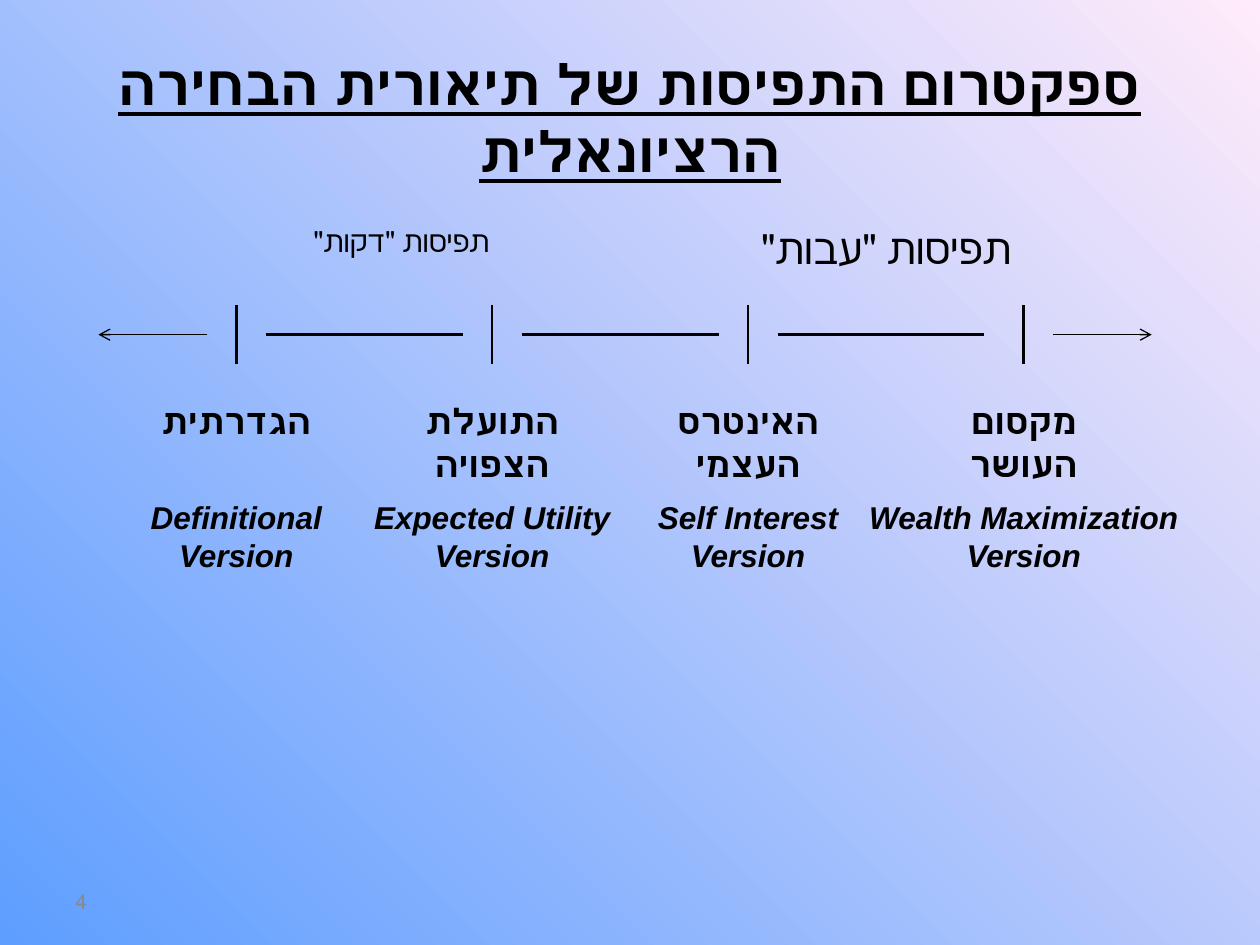
from dataclasses import dataclass

import lxml.etree
import pptx
import pptx.dml.color
import pptx.enum.dml
import pptx.enum.shapes
import pptx.enum.text
import pptx.oxml.ns
import pptx.shapes.base
import pptx.slide
import pptx.text.text
import pptx.util

BLACK = pptx.dml.color.RGBColor(0x00, 0x00, 0x00)
GREY = pptx.dml.color.RGBColor(0x89, 0x89, 0x89)
SKY_BLUE = pptx.dml.color.RGBColor(0x5E, 0x9E, 0xFF)
PALE_PINK = pptx.dml.color.RGBColor(0xFF, 0xEB, 0xFA)

SLIDE_WIDTH = pptx.util.Inches(10)
SLIDE_HEIGHT = pptx.util.Inches(7.5)
CELL = SLIDE_WIDTH / 64
AXIS_ROW = 17
TICK_REACH = 1.5
ALIGN = pptx.enum.text.PP_ALIGN
ANCHOR = pptx.enum.text.MSO_ANCHOR


@dataclass(frozen=True)
class Box:
    column: float
    row: float
    columns: float
    rows: float


@dataclass(frozen=True)
class Style:
    size: float
    font: str = "Calibri"
    color: pptx.dml.color.RGBColor = BLACK
    bold: bool = False
    italic: bool = False
    underline: bool = False
    align: ALIGN = ALIGN.CENTER


@dataclass(frozen=True)
class Version:
    column: float
    hebrew: str
    english: str
    english_columns: float
    hebrew_rows: float = 4.9
    gap_before: float = TICK_REACH


TITLE_STYLE = Style(32, bold=True, underline=True)
HEBREW_STYLE = Style(20, "Arial", bold=True)
ENGLISH_STYLE = Style(18, "Arial", bold=True, italic=True)
THIN_STYLE = Style(16.8, align=ALIGN.RIGHT)
THICK_STYLE = Style(24, align=ALIGN.RIGHT)
NUMBER_STYLE = Style(12, color=GREY, align=ALIGN.LEFT)

VERSIONS = [
    Version(12, "הגדרתית", "Definitional Version", 12, hebrew_rows=2.8),
    Version(25, "התועלת הצפויה", "Expected Utility Version", 14),
    Version(38, "האינטרס העצמי", "Self Interest Version", 14),
    Version(52, "מקסום העושר", "Wealth Maximization Version", 20, gap_before=2),
]


def grid(cells: float) -> pptx.util.Emu:
    return pptx.util.Emu(round(cells * CELL))


def place(shape: pptx.shapes.base.BaseShape, box: Box) -> None:
    shape.left, shape.top = grid(box.column), grid(box.row)
    shape.width, shape.height = grid(box.columns), grid(box.rows)


def write(frame: pptx.text.text.TextFrame, text: str, style: Style,
          anchor: ANCHOR = ANCHOR.TOP) -> None:
    frame.text = text
    frame.word_wrap = True
    frame.auto_size = pptx.enum.text.MSO_AUTO_SIZE.NONE
    frame.vertical_anchor = anchor
    paragraph = frame.paragraphs[0]
    properties = paragraph._p.get_or_add_pPr()
    for name, value in (("marL", "0"), ("indent", "0"), ("rtl", "1")):
        properties.set(name, value)
    lxml.etree.SubElement(properties, pptx.oxml.ns.qn("a:buNone"))
    paragraph.alignment = style.align
    paragraph.space_before = pptx.util.Pt(0)
    font = paragraph.font
    font.name = style.font
    font.size = pptx.util.Pt(style.size)
    font.color.rgb = style.color
    font.bold = style.bold
    font.italic = style.italic
    font.underline = style.underline


def add_label(slide: pptx.slide.Slide, box: Box, text: str, style: Style,
              anchor: ANCHOR = ANCHOR.TOP) -> None:
    shape = slide.shapes.add_textbox(0, 0, 0, 0)
    place(shape, box)
    write(shape.text_frame, text, style, anchor)


def add_line(slide: pptx.slide.Slide, start: tuple[float, float],
             end: tuple[float, float], arrow: bool = False) -> None:
    connector = slide.shapes.add_connector(
        pptx.enum.shapes.MSO_CONNECTOR.STRAIGHT,
        *(grid(cells) for cells in (*start, *end)))
    connector.line.color.rgb = BLACK
    connector.line.width = pptx.util.Pt(0.75 if arrow else 1.5)
    if arrow:
        lxml.etree.SubElement(connector.line._get_or_add_ln(),
                              pptx.oxml.ns.qn("a:tailEnd"), type="arrow")
    lxml.etree.SubElement(connector._element.spPr, pptx.oxml.ns.qn("a:effectLst"))


def paint_background(slide: pptx.slide.Slide) -> None:
    fill = slide.background.fill
    fill.gradient()
    fill.gradient_angle = 45
    for stop, color, position in zip(fill.gradient_stops, (SKY_BLUE, PALE_PINK), (0, 1)):
        stop.color.rgb = color
        stop.position = position


def draw_axis(slide: pptx.slide.Slide) -> None:
    for version in VERSIONS:
        add_line(slide, (version.column, AXIS_ROW - TICK_REACH),
                 (version.column, AXIS_ROW + TICK_REACH))
    for current, following in zip(VERSIONS, VERSIONS[1:]):
        add_line(slide, (current.column + TICK_REACH, AXIS_ROW),
                 (following.column - following.gap_before, AXIS_ROW))
    for start, end in ((10.5, 5), (53.5, 58.5)):
        add_line(slide, (start, AXIS_ROW), (end, AXIS_ROW), arrow=True)


def draw_versions(slide: pptx.slide.Slide) -> None:
    for version in VERSIONS:
        add_label(slide, Box(version.column - 5, 20, 10, version.hebrew_rows),
                  version.hebrew, HEBREW_STYLE)
        add_label(slide, Box(version.column - version.english_columns / 2, 25,
                             version.english_columns, 4.5),
                  version.english, ENGLISH_STYLE)


def main() -> None:
    presentation = pptx.Presentation()
    presentation.slide_width = SLIDE_WIDTH
    presentation.slide_height = SLIDE_HEIGHT
    slide = presentation.slides.add_slide(presentation.slide_layouts[1])
    paint_background(slide)

    title, body = slide.shapes.title, slide.placeholders[1]
    place(title, Box(3.2, 1.92, 57.6, 8))
    write(title.text_frame, "ספקטרום התפיסות של תיאורית הבחירה הרציונאלית",
          TITLE_STYLE, ANCHOR.MIDDLE)
    place(body, Box(10.5, 11, 15, 2.5))
    write(body.text_frame, 'תפיסות "דקות"', THIN_STYLE)
    add_label(slide, Box(37, 11, 15, 2.5), 'תפיסות "עבות"', THICK_STYLE)

    draw_axis(slide)
    draw_versions(slide)
    add_label(slide, Box(3.2, 44.5, 14.9, 2.55), "4", NUMBER_STYLE, ANCHOR.MIDDLE)
    presentation.save("out.pptx")


if __name__ == "__main__":
    main()
